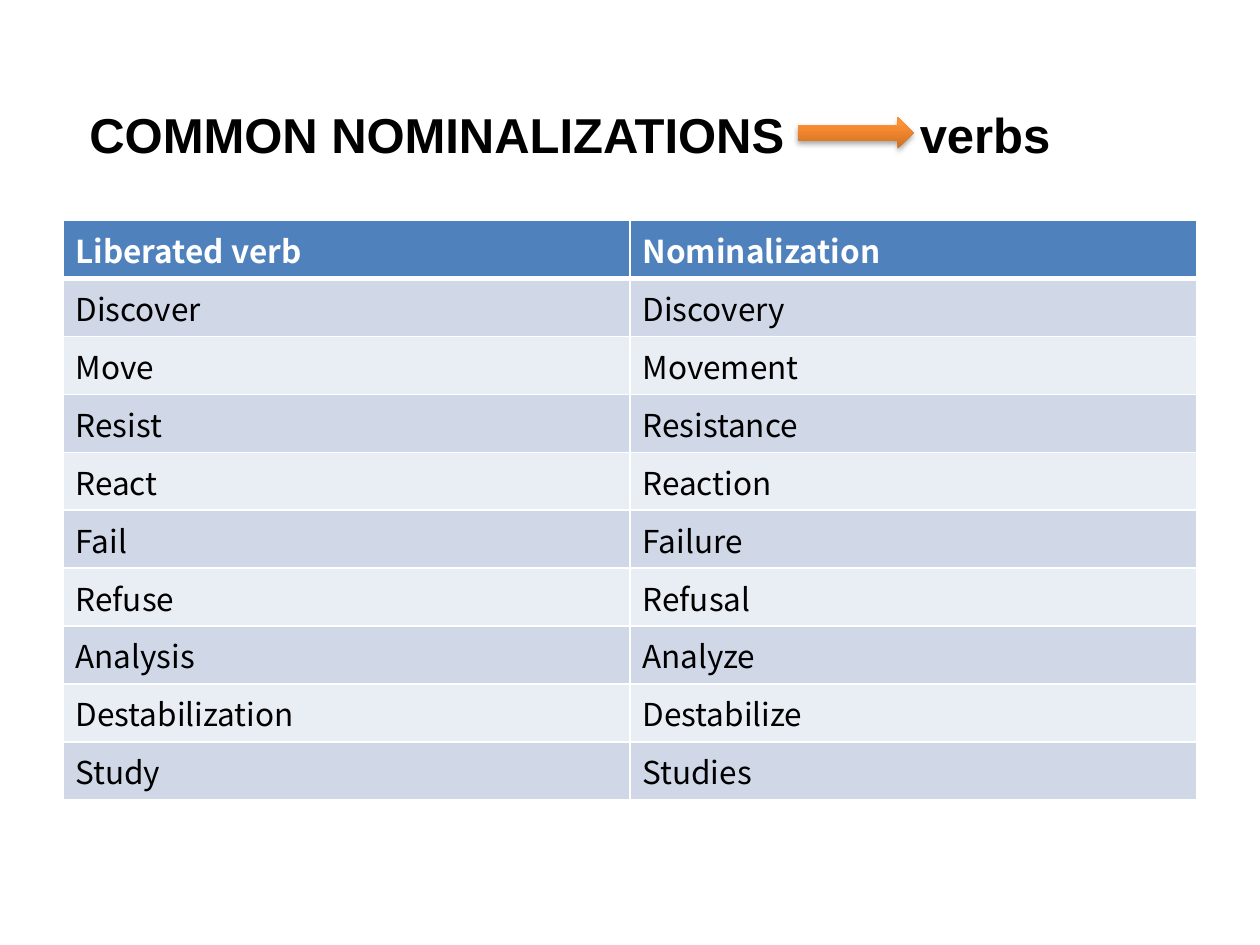
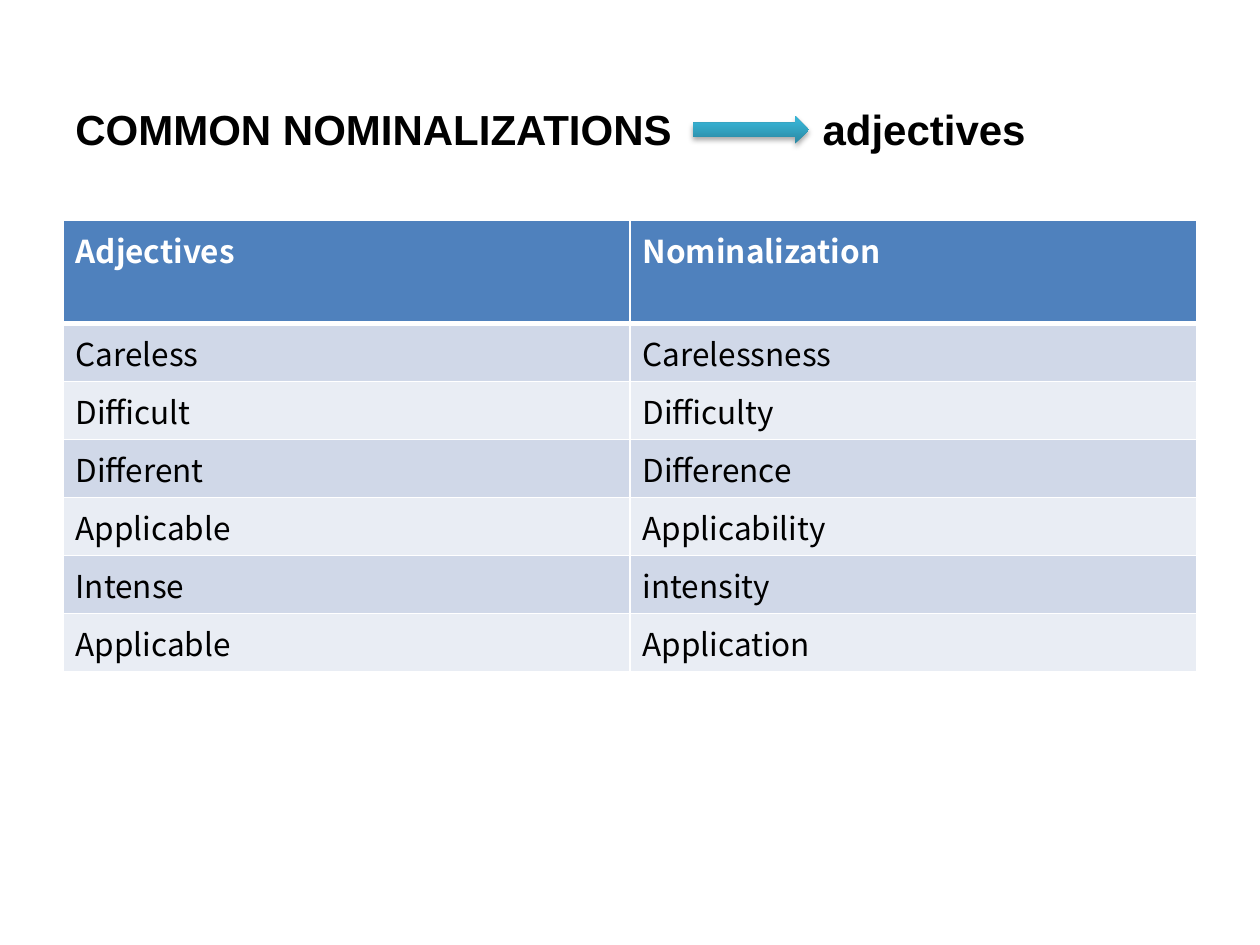
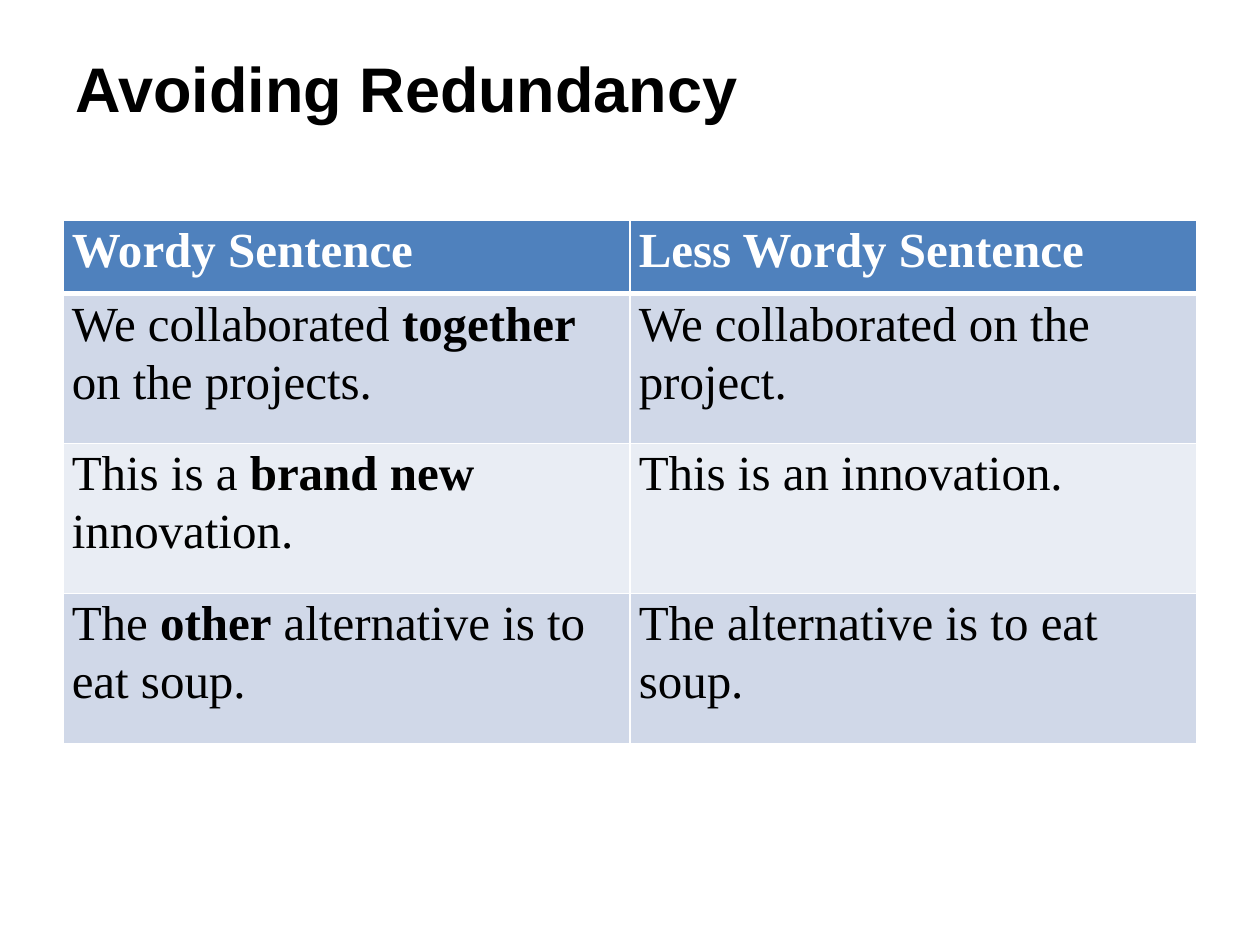
import pptx
import pptx.util
import pptx.dml.color
import pptx.enum.shapes
import pptx.enum.text
import pptx.oxml
import pptx.oxml.ns

Inches = pptx.util.Inches
Pt = pptx.util.Pt

COLORS = {
    "text": "000000",
    "header_text": "FFFFFF",
    "border": "FFFFFF",
    "header": "4F81BD",
    "odd_row": "D0D8E8",
    "even_row": "E9EDF4",
    "shadow": "000000",
}
ORANGE = {0: "CC6E20", 80: "FF9034", 100: "FF9136"}
TEAL = {0: "2A88A2", 80: "37B1D2", 100: "34B4D6"}
TITLE_FONT = "Arial"
WORD_FONT = "Noto Sans CJK KR"
SENTENCE_FONT = "Times New Roman"
LEFT = 0.5
WIDTH = 9
TABLE_TOP = 1.75

VERBS = [
    ("Liberated verb", "Nominalization"),
    ("Discover", "Discovery"),
    ("Move", "Movement"),
    ("Resist", "Resistance"),
    ("React", "Reaction"),
    ("Fail", "Failure"),
    ("Refuse", "Refusal"),
    ("Analysis", "Analyze"),
    ("Destabilization", "Destabilize"),
    ("Study", "Studies"),
]
ADJECTIVES = [
    ("Adjectives", "Nominalization"),
    ("Careless", "Carelessness"),
    ("Difficult", "Difficulty"),
    ("Different", "Difference"),
    ("Applicable", "Applicability"),
    ("Intense", "intensity"),
    ("Applicable", "Application"),
]
SENTENCES = [
    ("Wordy Sentence", "Less Wordy Sentence"),
    ("We collaborated *together*\non the projects.", "We collaborated on the\nproject."),
    ("This is a *brand new*\ninnovation.", "This is an innovation."),
    ("The *other* alternative is to\neat soup.", "The alternative is to eat\nsoup."),
]


def rgb(value):
    return pptx.dml.color.RGBColor.from_string(value)


def make_element(tag, content):
    namespace = pptx.oxml.ns.nsdecls("a")
    name = tag.split()[0]
    return pptx.oxml.parse_xml(f"<a:{tag} {namespace}>{content}</a:{name}>")


def solid(color):
    return f'<a:solidFill><a:srgbClr val="{color}"/></a:solidFill>'


def style_font(para, name, size, color, bold=None):
    font = para.font
    font.name = name
    font.size = Pt(size)
    font.color.rgb = rgb(color)
    font.bold = bold


def add_title(page, text, top, height, size, indent=0.1, drop=0.05, tab=None):
    box = page.shapes.add_textbox(Inches(LEFT), Inches(top), Inches(WIDTH), Inches(height))
    frame = box.text_frame
    frame.word_wrap = True
    frame.vertical_anchor = pptx.enum.text.MSO_ANCHOR.MIDDLE
    frame.margin_left = Inches(indent)
    frame.margin_top = Inches(drop)
    para = frame.paragraphs[0]
    para.text = text
    style_font(para, TITLE_FONT, size, COLORS["text"], True)
    if tab:
        stop = f'<a:tab pos="{Inches(tab - LEFT - indent)}" algn="l"/>'
        para._p.get_or_add_pPr().insert(0, make_element("tabLst", stop))


def add_arrow(page, left, top, height, gradient):
    arrow = page.shapes.add_shape(
        pptx.enum.shapes.MSO_SHAPE.RIGHT_ARROW,
        Inches(left), Inches(top), Inches(0.92), Inches(height))
    arrow.line.fill.background()
    arrow.shadow.inherit = False
    stops = "".join(
        f'<a:gs pos="{place * 1000}"><a:srgbClr val="{color}"/></a:gs>'
        for place, color in gradient.items())
    properties = arrow._element.spPr
    outline = properties.find(pptx.oxml.ns.qn("a:ln"))
    outline.addprevious(make_element(
        "gradFill", f'<a:gsLst>{stops}</a:gsLst><a:lin ang="16200000" scaled="0"/>'))
    effects = properties.find(pptx.oxml.ns.qn("a:effectLst"))
    effects.append(make_element(
        f'outerShdw blurRad="{Pt(3.1)}" dist="{Pt(1.8)}" dir="5400000" rotWithShape="0"',
        f'<a:srgbClr val="{COLORS["shadow"]}"><a:alpha val="35000"/></a:srgbClr>'))


def set_borders(cell, row):
    widths = {"L": 1, "R": 1, "T": 3 if row == 1 else 1, "B": 3 if row == 0 else 1}
    properties = cell._tc.get_or_add_tcPr()
    for side, width in widths.items():
        properties.append(make_element(f'ln{side} w="{Pt(width)}"', solid(COLORS["border"])))


def fill_cell(cell, text, row, font, size, justified):
    set_borders(cell, row)
    band = "header" if row == 0 else "odd_row" if row % 2 else "even_row"
    cell.fill.solid()
    cell.fill.fore_color.rgb = rgb(COLORS[band])
    if justified:
        cell.margin_left = cell.margin_right = Inches(0.07)
        cell.margin_top = cell.margin_bottom = 0
    frame = cell.text_frame
    for number, line in enumerate(text.split("\n")):
        para = frame.add_paragraph() if number else frame.paragraphs[0]
        color = COLORS["text" if row else "header_text"]
        style_font(para, font, size, color)
        if justified:
            para.alignment = pptx.enum.text.PP_ALIGN.JUSTIFY
            para.line_spacing = 1.07
        for index, piece in enumerate(line.split("*")):
            if piece:
                span = para.add_run()
                span.text = piece
                span.font.bold = row == 0 or index % 2 == 1


def add_word_table(page, rows, header_height, row_height,
                   font=WORD_FONT, size=18, justified=False):
    heights = [header_height] + [row_height] * (len(rows) - 1)
    table = page.shapes.add_table(
        len(rows), 2, Inches(LEFT), Inches(TABLE_TOP),
        Inches(WIDTH), Inches(sum(heights))).table
    table.horz_banding = False
    for row, texts in enumerate(rows):
        table.rows[row].height = Inches(heights[row])
        for column, text in enumerate(texts):
            fill_cell(table.cell(row, column), text, row, font, size, justified)


def main():
    deck = pptx.Presentation()
    deck.slide_width = Inches(10)
    deck.slide_height = Inches(7.5)
    verbs, adjectives, redundancy = [
        deck.slides.add_slide(deck.slide_layouts[6]) for _ in range(3)]

    add_title(verbs, "COMMON NOMINALIZATIONS\tverbs", 0.3, 1.25, 28,
              indent=0.21, drop=0.33, tab=7.3)
    add_word_table(verbs, VERBS, 0.46, 0.46)
    add_arrow(verbs, 6.33, 0.93, 0.25, ORANGE)

    add_title(adjectives, "COMMON NOMINALIZATIONS\tadjectives", 0.71, 0.62, 24, tab=6.53)
    add_word_table(adjectives, ADJECTIVES, 0.82, 0.46)
    add_arrow(adjectives, 5.5, 0.92, 0.22, TEAL)

    add_title(redundancy, "Avoiding Redundancy", 0.3, 0.78, 36)
    add_word_table(redundancy, SENTENCES, 0.58, 1.19, SENTENCE_FONT, 28, True)

    deck.save("out.pptx")


if __name__ == "__main__":
    main()
